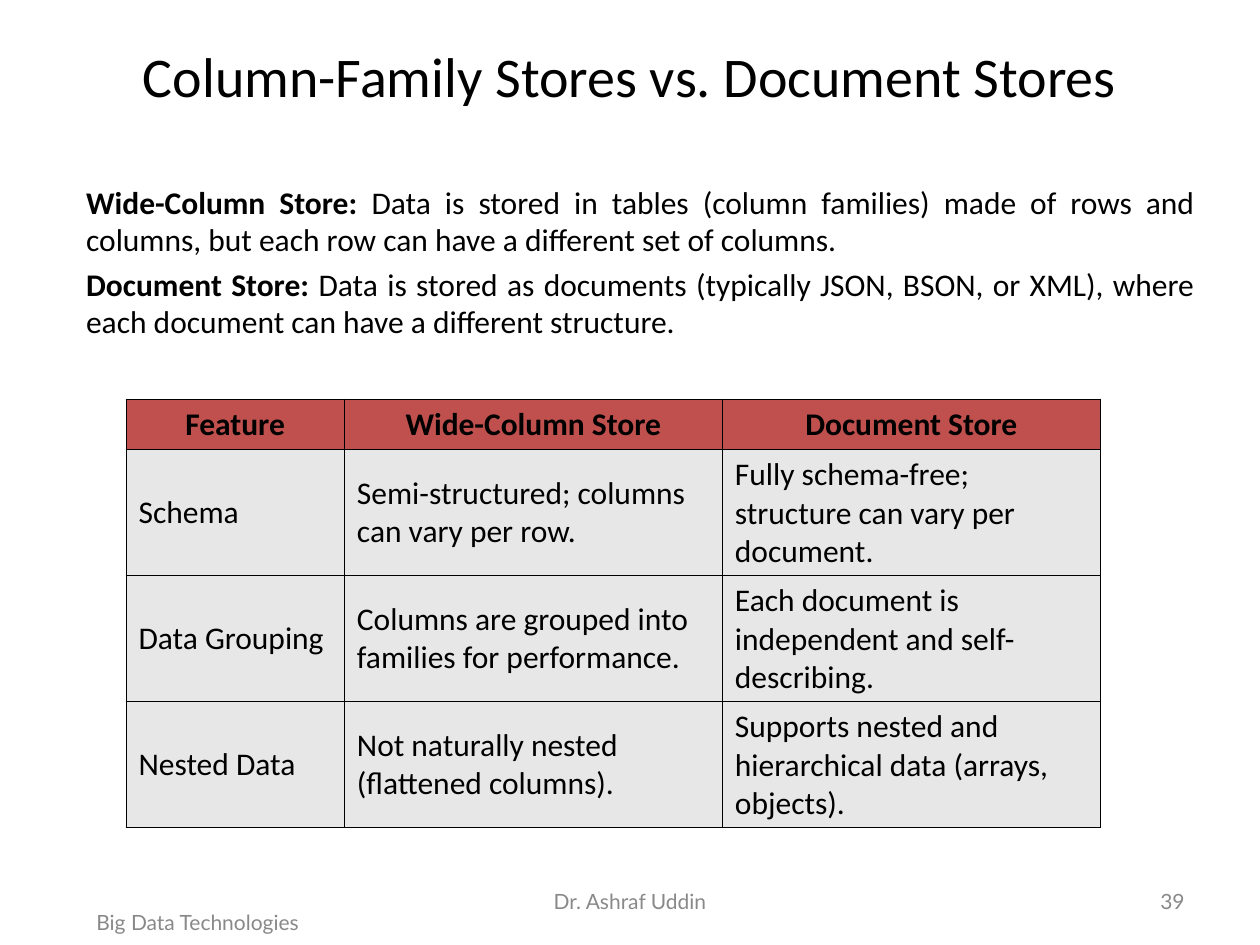
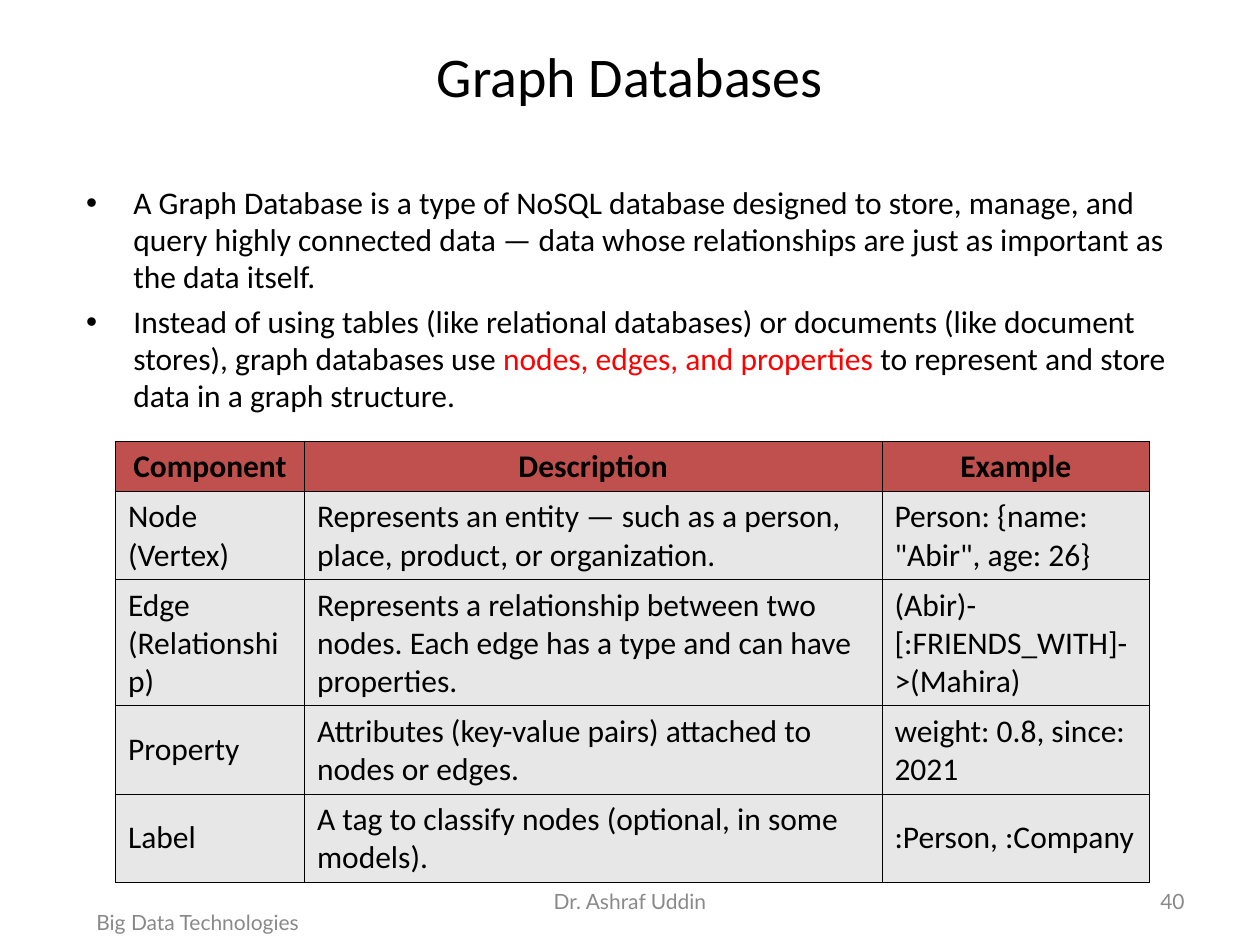
from lxml.etree import SubElement
from pptx import Presentation
from pptx.dml.color import RGBColor
from pptx.enum.text import MSO_ANCHOR, MSO_AUTO_SIZE, PP_ALIGN
from pptx.oxml.ns import qn
from pptx.util import Pt

PX = 7620  # EMU per px, 120 px to the inch
HUES = {"ink": "000000", "grey": "898989", "mark": "FF0000",
        "head": "C0504D", "cell": "E7E7E7"}
EDGE = 5715  # table line width in EMU
FOOTS = [("Dr. Ashraf Uddin", 410, 834, 380, PP_ALIGN.CENTER),
         ("Big Data Technologies", 80, 854, 280, PP_ALIGN.LEFT)]

PAGES = [
    {
        "title": "Column-Family Stores vs. Document Stores",
        "number": "39",
        "bullets": False,
        "height": 190,
        "body": [
            [("Wide-Column Store: ", True, "ink"),
             ("Data is stored in tables (column families) made of rows and columns, "
              "but each row can have a different set of columns.", False, "ink")],
            [("Document Store: ", True, "ink"),
             ("Data is stored as documents (typically JSON, BSON, or XML), "
              "where each document can have a different structure.", False, "ink")],
        ],
        "place": (120, 380),
        "cols": [208, 360, 360],
        "rows": [48, 120, 120, 120],
        "cells": [
            ["Feature", "Wide-Column Store", "Document Store"],
            ["Schema", "Semi-structured; columns can vary per row.",
             "Fully schema-free; structure can vary per document."],
            ["Data Grouping", "Columns are grouped into families for performance.",
             "Each document is independent and self-describing."],
            ["Nested Data", "Not naturally nested (flattened columns).",
             "Supports nested and hierarchical data (arrays, objects)."],
        ],
    },
    {
        "title": "Graph Databases",
        "number": "40",
        "bullets": True,
        "height": 240,
        "body": [
            [("A Graph Database is a type of NoSQL database designed to store, manage, "
              "and query highly connected data — data whose relationships are just as "
              "important as the data itself.", False, "ink")],
            [("Instead of using tables (like relational databases) or documents "
              "(like document stores), graph databases use ", False, "ink"),
             ("nodes, edges, and properties ", False, "mark"),
             ("to represent and store data in a graph structure.", False, "ink")],
        ],
        "place": (110, 420),
        "cols": [180, 550, 255],
        "rows": [48, 84, 120, 84, 84],
        "cells": [
            ["Component", "Description", "Example"],
            ["Node (Vertex)",
             "Represents an entity — such as a person, place, product, or organization.",
             'Person: {name: "Abir", age: 26}'],
            ["Edge (Relationship)",
             "Represents a relationship between two nodes. "
             "Each edge has a type and can have properties.",
             "(Abir)-[:FRIENDS_WITH]->(Mahira)"],
            ["Property", "Attributes (key-value pairs) attached to nodes or edges.",
             "weight: 0.8, since: 2021"],
            ["Label", "A tag to classify nodes (optional, in some models).",
             ":Person, :Company"],
        ],
    },
]


def style(run, size, hue="ink", bold=False, face="Calibri"):
    run.font.size = Pt(size)
    run.font.name = face
    run.font.bold = bold
    run.font.color.rgb = RGBColor.from_string(HUES[hue])


def move(shape, left, top, width, height):
    shape.left, shape.top = left * PX, top * PX
    shape.width, shape.height = width * PX, height * PX


deck = Presentation()
deck.slide_width, deck.slide_height = 1200 * PX, 900 * PX

for page in PAGES:
    slide = deck.slides.add_slide(deck.slide_layouts[1])

    # Title
    title = slide.shapes.title
    move(title, 60, 36, 1080, 74)
    frame = title.text_frame
    frame.text = page["title"]
    frame.auto_size = MSO_AUTO_SIZE.NONE
    frame.vertical_anchor = MSO_ANCHOR.BOTTOM
    frame.paragraphs[0].alignment = PP_ALIGN.CENTER
    style(frame.paragraphs[0].runs[0], 32)

    # Footers
    number = (page["number"], 860, 834, 280, PP_ALIGN.RIGHT)
    for text, left, top, width, align in [number] + FOOTS:
        box = slide.shapes.add_textbox(left * PX, top * PX, width * PX, 48 * PX)
        frame = box.text_frame
        frame.word_wrap = True
        frame.vertical_anchor = MSO_ANCHOR.MIDDLE
        frame.text = text
        frame.paragraphs[0].alignment = align
        style(frame.paragraphs[0].runs[0], 12, "grey", face="Lato")

    # Body text
    body = slide.placeholders[1]
    move(body, 70, 170, 1080, page["height"])
    frame = body.text_frame
    frame.auto_size = MSO_AUTO_SIZE.NONE
    for i, parts in enumerate(page["body"]):
        para = frame.add_paragraph() if i else frame.paragraphs[0]
        para.space_before = Pt(4.5 if i else 0)
        para.line_spacing = 0.98
        para.alignment = PP_ALIGN.LEFT if page["bullets"] else PP_ALIGN.JUSTIFY
        props = para._p.get_or_add_pPr()
        indent = 45 * PX if page["bullets"] else 0
        props.set("marL", str(indent))
        props.set("indent", str(-indent))
        if page["bullets"]:
            SubElement(props, qn("a:buFont"), typeface="Arial")
            SubElement(props, qn("a:buChar"), char="•")
        else:
            SubElement(props, qn("a:buNone"))
        for text, bold, hue in parts:
            run = para.add_run()
            run.text = text
            style(run, 18, hue, bold)

    # Table
    left, top = page["place"]
    cols, rows = page["cols"], page["rows"]
    table = slide.shapes.add_table(len(rows), len(cols), left * PX, top * PX,
                                   sum(cols) * PX, sum(rows) * PX).table
    table.first_row = table.horz_banding = False
    for col, width in zip(table.columns, cols):
        col.width = width * PX
    for r, (row, height) in enumerate(zip(table.rows, rows)):
        row.height = height * PX
        for cell, text in zip(row.cells, page["cells"][r]):
            props = cell._tc.get_or_add_tcPr()
            for side in "LRTB":
                line = SubElement(props, qn("a:ln" + side), w=str(EDGE))
                fill = SubElement(line, qn("a:solidFill"))
                SubElement(fill, qn("a:srgbClr"), val=HUES["ink"])
            cell.fill.solid()
            cell.fill.fore_color.rgb = RGBColor.from_string(HUES["cell" if r else "head"])
            cell.vertical_anchor = MSO_ANCHOR.MIDDLE
            cell.text_frame.text = text
            para = cell.text_frame.paragraphs[0]
            para.alignment = PP_ALIGN.LEFT if r else PP_ALIGN.CENTER
            style(para.runs[0], 18, bold=r == 0)

deck.save("out.pptx")
